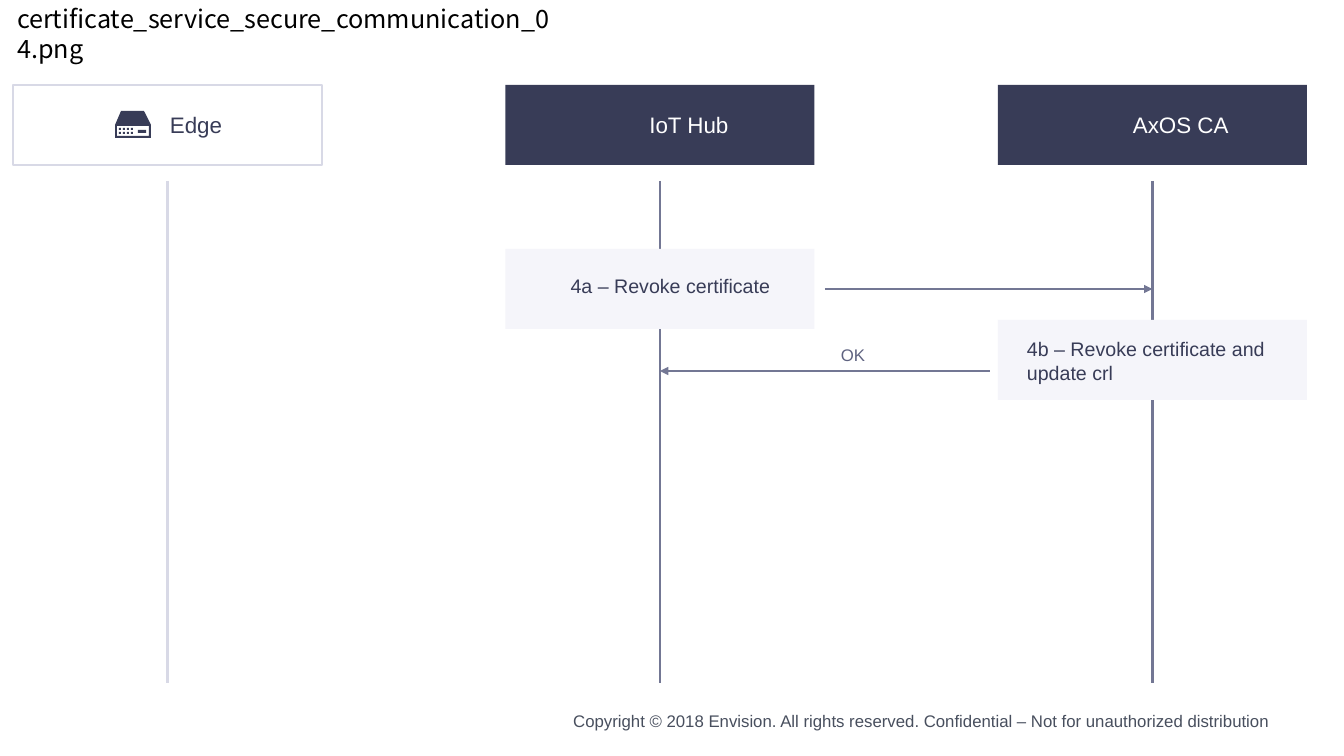
import pptx
import pptx.util
import pptx.dml.color
import pptx.enum.shapes
import pptx.enum.text
import pptx.oxml
import pptx.oxml.ns

PX = 914400 / 100.8
NAVY, SLATE, MIST, PALE, WHITE = "383C57", "737794", "D8D9E6", "F5F5FA", "FFFFFF"

TITLE = "certificate_service_secure_communication_04.png"
COPYRIGHT = ("Copyright © 2018 Envision. All rights reserved. "
             "Confidential – Not for unauthorized distribution")

# Lanes: name, name offset from the lane, name width, fill, border, text, lifeline
LANES = [
    ("Edge", 147, 80, None, MIST, NAVY, MIST),
    ("IoT Hub", 134, 106, NAVY, None, WHITE, SLATE),
    ("AxOS CA", 125, 119, NAVY, None, WHITE, SLATE),
]
LANE_LEFT, LANE_PITCH, LANE_W = 13, 492.5, 309
HEAD_TOP, BOX_H, LIFE_TOP, LIFE_BOTTOM = 85, 80, 181, 683

# Notes: lane, box top, text lines, text box (left, top, width, height), alignment
NOTES = [
    (1, 249, ["4a – Revoke certificate"], (533, 269, 275, 34), "CENTER"),
    (2, 320, ["4b – Revoke certificate and", "update crl"], (1017, 332, 282, 57), "LEFT"),
]
# Messages: start x, target lane, y
MESSAGES = [(825, 2, 289), (990, 1, 371)]

ICON_BODY = [(115, 125), (121, 111), (144, 111), (151, 125), (151, 138), (115, 138)]
ICON_PANEL = (117, 126, 32, 10)
ICON_SLOT = (138, 130, 8, 3)
ICON_LIGHTS = [(119 + 4 * col, 128 + 4 * row, 2, 2) for row in range(2) for col in range(4)]


def px(n):
    return pptx.util.Emu(round(n * PX))


def rgb(color):
    return pptx.dml.color.RGBColor.from_string(color)


def lane_left(i):
    return LANE_LEFT + i * LANE_PITCH


def lane_center(i):
    return lane_left(i) + LANE_W / 2


def set_text(tf, lines, size, color, align="LEFT", font="Arial"):
    tf.word_wrap = True
    tf.auto_size = pptx.enum.text.MSO_AUTO_SIZE.NONE
    tf.vertical_anchor = pptx.enum.text.MSO_ANCHOR.TOP
    tf.text = "\n".join(lines)
    for p in tf.paragraphs:
        p.alignment = pptx.enum.text.PP_ALIGN[align]
        p.font.size = pptx.util.Pt(size)
        p.font.name = font
        p.font.color.rgb = rgb(color)


def add_text(box, lines, size, color, align="LEFT"):
    sp = shapes.add_textbox(*map(px, box))
    set_text(sp.text_frame, lines, size, color, align)


def paint(sp, fill, border=None):
    sp.shadow.inherit = False
    if fill:
        sp.fill.solid()
        sp.fill.fore_color.rgb = rgb(fill)
    else:
        sp.fill.background()
    if border:
        sp.line.color.rgb = rgb(border)
        sp.line.width = pptx.util.Pt(1.5)
    else:
        sp.line.fill.background()


def add_box(lane, top, fill, border=None):
    sp = shapes.add_shape(pptx.enum.shapes.MSO_SHAPE.RECTANGLE,
                          *map(px, (lane_left(lane), top, LANE_W, BOX_H)))
    paint(sp, fill, border)


def add_line(x1, y1, x2, y2, color, arrow=False):
    line = shapes.add_connector(pptx.enum.shapes.MSO_CONNECTOR.STRAIGHT,
                                *map(px, (x1, y1, x2, y2)))
    line.line.color.rgb = rgb(color)
    line.line.width = pptx.util.Pt(2)
    if arrow:
        ln = line.line._get_or_add_ln()
        ln.append(pptx.oxml.parse_xml(
            f'<a:tailEnd {pptx.oxml.ns.nsdecls("a")} type="triangle"/>'))
    line._element.spPr.append(pptx.oxml.parse_xml(
        f'<a:effectLst {pptx.oxml.ns.nsdecls("a")}/>'))


def corners(x, y, w, h):
    return [(x, y), (x + w, y), (x + w, y + h), (x, y + h)]


def add_device_icon():
    """Draw the device as one outline; nested contours cut holes."""
    builder = shapes.build_freeform(*ICON_BODY[0], scale=PX)
    builder.add_line_segments(ICON_BODY[1:], close=True)
    for rect in [ICON_PANEL, ICON_SLOT, *ICON_LIGHTS]:
        start, *rest = corners(*rect)
        builder.move_to(*start)
        builder.add_line_segments(rest, close=True)
    paint(builder.convert_to_shape(), NAVY)


prs = pptx.Presentation()
prs.slide_width, prs.slide_height = px(1344), px(756)
s = prs.slides.add_slide(prs.slide_layouts[5])
shapes = s.shapes

title = shapes.title
title.left, title.top, title.width, title.height = map(px, (7, -2, 558, 72))
set_text(title.text_frame, [TITLE], 18, "000000", font="Noto Sans CJK SC")

for i, (name, offset, width, fill, border, color, life) in enumerate(LANES):
    add_box(i, HEAD_TOP, fill, border)
    add_text((lane_left(i) + offset, 106, width, 37), [name], 16, color)
    add_line(lane_center(i), LIFE_TOP, lane_center(i), LIFE_BOTTOM, life)
add_device_icon()

for lane, top, lines, box, align in NOTES:
    add_box(lane, top, PALE)
    add_text(box, lines, 14, NAVY, align)

for x, lane, y in MESSAGES:
    add_line(x, y, lane_center(lane), y, SLATE, arrow=True)
add_text((831, 340, 76, 31), ["OK"], 12, "5E6280")

add_text((491, 706, 789, 30), [COPYRIGHT], 12, "484F5E", "RIGHT")

prs.save("out.pptx")
